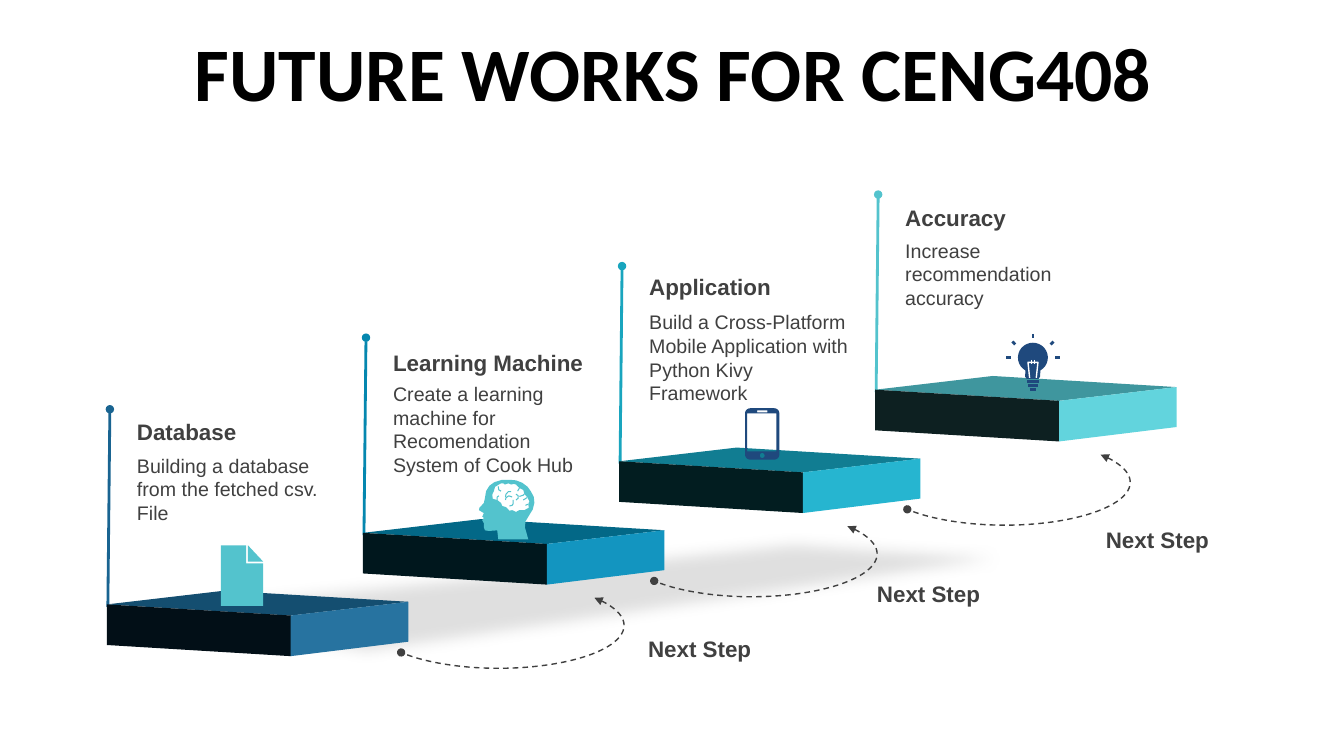
import dataclasses
import math

import pptx
import pptx.dml.color
import pptx.enum.dml
import pptx.enum.shapes
import pptx.enum.text
import pptx.oxml
import pptx.oxml.ns
import pptx.util


@dataclasses.dataclass(frozen=True)
class Theme:
    """Colours, fonts and type sizes of the slide."""
    ink: str = "404040"
    black: str = "000000"
    white: str = "FFFFFF"
    gray: str = "808080"
    navy: str = "1F497D"
    aqua: str = "53C3CD"
    head: str = "Calibri"
    body: str = "Arial"
    huge: int = 54
    large: int = 16
    small: int = 14


THEME = Theme()
WIDE, HIGH = 13.33, 7.5
RISE = (2.54, -0.71)
FACES = [
    [(0, 21), (39, 0), (100, 17), (61, 38)],
    [(0, 21), (61, 38), (61, 100), (0, 83)],
    [(61, 38), (100, 17), (100, 78), (61, 100)],
]
STEPS = [
    ("Database", "Building a database from the fetched csv. File", 4.10,
     "196491", ("144E70", "020F17", "2773A0")),
    ("Learning Machine", "Create a learning machine for Recomendation System of Cook Hub", 3.41,
     "0587AF", ("036887", "00171D", "1395C0")),
    ("Application", "Build a Cross-Platform Mobile Application with Python Kivy Framework", 2.66,
     "19A5BE", ("117D92", "021D20", "26B5D0")),
    ("Accuracy", "Increase recommendation accuracy", 1.98,
     "53C3CD", ("3F969E", "0D2021", "62D4DD")),
]
SKULL = [(56, 0), (67, 1), (78, 5), (88, 12), (94, 20), (99, 29), (100, 39), (97, 50), (91, 59),
         (84, 70), (83, 80), (89, 100), (35, 100), (33, 85), (18, 86), (11, 85), (9, 80),
         (9, 73), (6, 68), (9, 64), (6, 62), (9, 56), (0, 51), (1, 47), (9, 39), (11, 30),
         (13, 19), (19, 10), (28, 4), (42, 0)]
BRAIN = [(36, 8), (40, 6), (44, 6), (47, 8), (53, 6), (58, 8), (63, 7), (67, 8), (73, 14),
         (80, 17), (82, 24), (87, 29), (91, 36), (89, 41), (90, 47), (82, 51), (73, 51),
         (67, 54), (60, 51), (55, 52), (49, 46), (42, 44), (40, 39), (33, 34), (25, 32),
         (24, 25), (27, 19), (29, 12)]
FOLDS = [
    [(35, 11), (36, 17), (40, 19)], [(33, 34), (33, 29), (36, 27)],
    [(48, 34), (49, 30), (54, 27), (60, 29)], [(48, 29), (49, 24), (53, 20), (58, 20)],
    [(55, 44), (60, 43), (62, 40), (62, 34)], [(67, 24), (71, 27), (71, 31), (67, 34)],
    [(73, 28), (80, 26), (82, 24)], [(84, 43), (89, 41)], [(80, 34), (87, 30)],
    [(73, 14), (70, 19)],
]


def shade(name):
    """Return the colour with this hex name."""
    return pptx.dml.color.RGBColor.from_string(name)


def add(node, text):
    """Append a drawing element given as text to a node."""
    uri = pptx.oxml.ns.nsdecls("a")
    tag, _, rest = text.partition(" ")
    node.append(pptx.oxml.parse_xml(f"<a:{tag} {uri} {rest}/>"))


def pen(shape, color, width):
    """Give a shape a plain line."""
    shape.line.color.rgb = shade(color)
    shape.line.width = pptx.util.Pt(width)


def trace(page, box, loops, fill=None, line=None, width=1):
    """Draw loops given as percent shares of a box, filled or stroked."""
    left, top, wide, high = box
    loops = [[(pptx.util.Inches(left + wide * x / 100), pptx.util.Inches(top + high * y / 100))
              for x, y in loop] for loop in loops]
    maker = page.shapes.build_freeform(*loops[0][0])
    for loop in loops:
        maker.move_to(*loop[0])
        maker.add_line_segments(loop[1:], close=fill is not None)
    shape = maker.convert_to_shape()
    shape.shadow.inherit = False
    if fill:
        shape.fill.solid()
        shape.fill.fore_color.rgb = shade(fill)
        shape.line.fill.background()
    else:
        shape.fill.background()
        pen(shape, line, width)
    return shape


def curve(mid, radii, start, end, count=24):
    """Return points along an ellipse between two angles in degrees."""
    turns = [math.radians(start + (end - start) * i / count) for i in range(count + 1)]
    return [(mid[0] + radii[0] * math.cos(t), mid[1] + radii[1] * math.sin(t)) for t in turns]


def write(page, box, text, size, bold=False, font=THEME.body, color=THEME.ink):
    """Place a wrapped line of text in a box and return its frame."""
    area = page.shapes.add_textbox(*map(pptx.util.Inches, box))
    frame = area.text_frame
    frame.word_wrap = True
    frame.text = text
    face = frame.paragraphs[0].runs[0].font
    face.name, face.size, face.bold = font, pptx.util.Pt(size), bold
    face.color.rgb = shade(color)
    return frame


def title(page, box):
    """Write the heading in its box."""
    frame = write(page, box, "FUTURE WORKS FOR CENG408", THEME.huge, True, THEME.head, THEME.black)
    frame.vertical_anchor = pptx.enum.text.MSO_ANCHOR.MIDDLE
    para = frame.paragraphs[0]
    para.alignment = pptx.enum.text.PP_ALIGN.CENTER
    para.line_spacing = 0.9
    para.space_before = pptx.util.Pt(10)


def floor(page, box):
    """Lay the soft shadow under the stairs."""
    shape = trace(page, box, [[(0, 58), (29, 97), (31, 98), (100, 17), (69, 0)]], THEME.gray)
    props = shape._element.spPr
    add(props.find(".//" + pptx.oxml.ns.qn("a:srgbClr")), 'alpha val="25000"')
    add(props.find(pptx.oxml.ns.qn("a:effectLst")), 'softEdge rad="127000"')


def pin(page, box, color):
    """Raise a round-headed pin from the left corner of a slab."""
    left, top = box[:2]
    ends = (left + 0.01, top + 0.16, left + 0.03, top - 1.8)
    link = page.shapes.add_connector(pptx.enum.shapes.MSO_CONNECTOR.STRAIGHT,
                                     *map(pptx.util.Inches, ends))
    pen(link, color, 2)
    add(link.line._get_or_add_ln(), 'tailEnd type="oval"')
    add(link._element.spPr, "effectLst")


def hop(page, box, note):
    """Draw a dashed arc to the next slab and its caption."""
    arc = page.shapes.add_shape(pptx.enum.shapes.MSO_SHAPE.ARC, *map(pptx.util.Inches, box))
    arc.adjustments[0], arc.adjustments[1] = 206.332, 98.702
    arc.shadow.inherit = False
    arc.fill.background()
    pen(arc, THEME.ink, 1)
    arc.line.dash_style = pptx.enum.dml.MSO_LINE.DASH
    for end, kind in (("head", "triangle"), ("tail", "oval")):
        add(arc.line._get_or_add_ln(), f'{end}End type="{kind}"')
    write(page, note, "Next Step", THEME.large, True)


def label(page, box, name, text, top):
    """Write the name and text of a step above its slab."""
    left = box[0] + 0.2
    write(page, (left, box[1] - 1.41, 2.19, 0.81), text, THEME.small)
    write(page, (left, top, 2.19, 0.37), name, THEME.large, True)


def sheet(page, box):
    """Draw a page with a folded corner."""
    trace(page, box, [[(0, 0), (60, 0), (60, 30), (100, 30), (100, 100), (0, 100)],
                      [(64, 0), (100, 27), (64, 27)]], THEME.aqua)


def mind(page, box):
    """Draw a head with a brain."""
    trace(page, box, [SKULL, BRAIN], THEME.aqua)
    trace(page, box, FOLDS, line=THEME.aqua, width=0.75)


def phone(page, box):
    """Draw a phone with an open screen."""
    spots = [(85, 90, 0), (15, 90, 90), (15, 10, 180), (85, 10, 270)]
    case = [p for x, y, turn in spots for p in curve((x, y), (15, 10), turn, turn + 90, 6)]
    trace(page, box, [case, [(6, 10), (6, 84), (91, 84), (91, 10)],
                      [(35, 4), (65, 4), (65, 8), (35, 8)],
                      curve((50, 92), (7, 5), 0, 360)], THEME.navy)


def bulb(page, box):
    """Draw a shining light bulb."""
    glass = curve((50, 42), (27, 25), 120, 420) + [(63, 74), (60, 78), (39, 78), (36, 74)]
    rays = [[(2, 42), (10, 42)], [(90, 42), (98, 42)], [(13, 15), (18, 20)],
            [(87, 15), (82, 20)], [(50, 2), (50, 9)]]
    base = [[(50 - half, y), (50 + half, y)] for half, y in ((10, 82), (9, 89), (6, 96))]
    wire = [[(44, 76), (41, 50), (59, 50), (56, 76)], [(47, 46), (47, 53)], [(53, 46), (53, 53)]]
    trace(page, box, [glass], THEME.navy)
    trace(page, box, rays + base, line=THEME.navy, width=2)
    trace(page, box, wire, line=THEME.white, width=1)


def stairs(page, box):
    """Build the four steps, their arcs, labels and icons from the first slab."""
    left, top, wide, high = box
    slabs = [(left + RISE[0] * i, top + RISE[1] * i, wide, high) for i in range(len(STEPS))]
    for slab, step in zip(slabs, STEPS):
        pin(page, slab, step[3])
    floor(page, (0.31, 5.26, 10.9, 1.35))
    for slab, step in zip(slabs, STEPS):
        for face, color in zip(FACES, step[4]):
            trace(page, slab, [face], color)
    for i in range(len(STEPS) - 1):
        hop(page, (3.7 + 2.51 * i, 5.78 - 0.71 * i, 2.49, 0.85),
            (6.33 + 2.27 * i, 6.25 - 0.54 * i, 1.5, 0.37))
    for slab, (name, text, high, *_) in zip(slabs, STEPS):
        label(page, slab, name, text, high)
    icons = [(sheet, 1.13, -0.45, 0.42, 0.6), (mind, 1.15, -0.39, 0.55, 0.59),
             (phone, 1.25, -0.39, 0.34, 0.51), (bulb, 1.29, -0.43, 0.55, 0.59)]
    for slab, (draw, x, y, *size) in zip(slabs, icons):
        draw(page, (slab[0] + x, slab[1] + y, *size))


def main():
    """Build the slide and save it."""
    deck = pptx.Presentation()
    deck.slide_width, deck.slide_height = map(pptx.util.Inches, (WIDE, HIGH))
    page = deck.slides.add_slide(deck.slide_layouts[6])
    title(page, (0.35, 0.37, 12.66, 0.79))
    stairs(page, (1.06, 5.86, 2.99, 0.65))
    deck.save("out.pptx")


if __name__ == "__main__":
    main()
